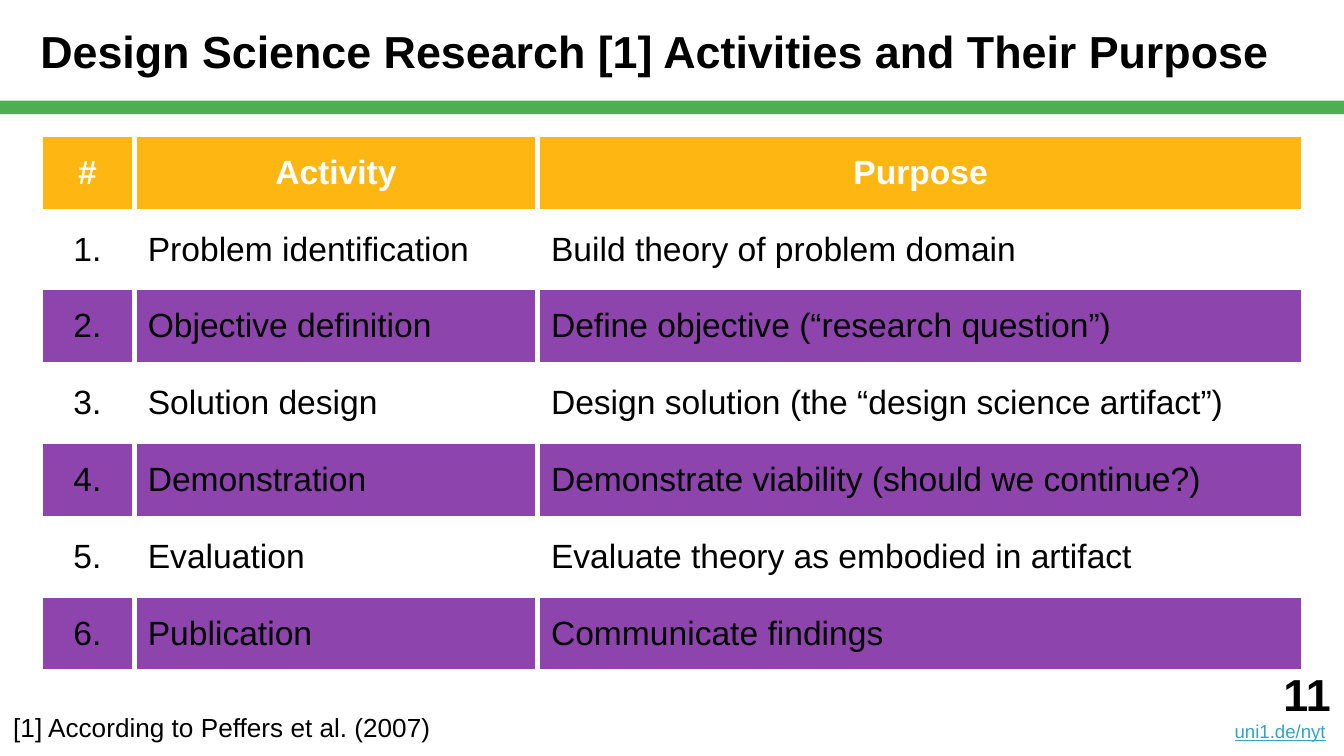
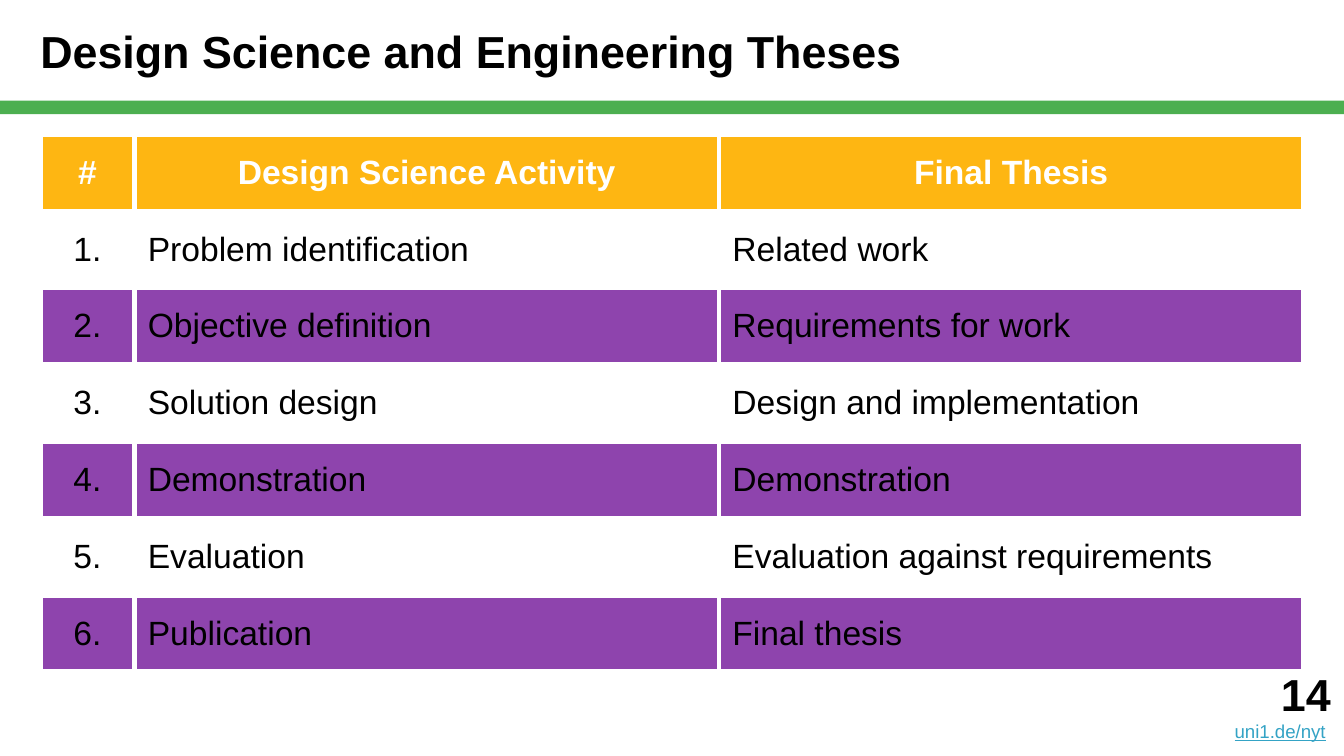
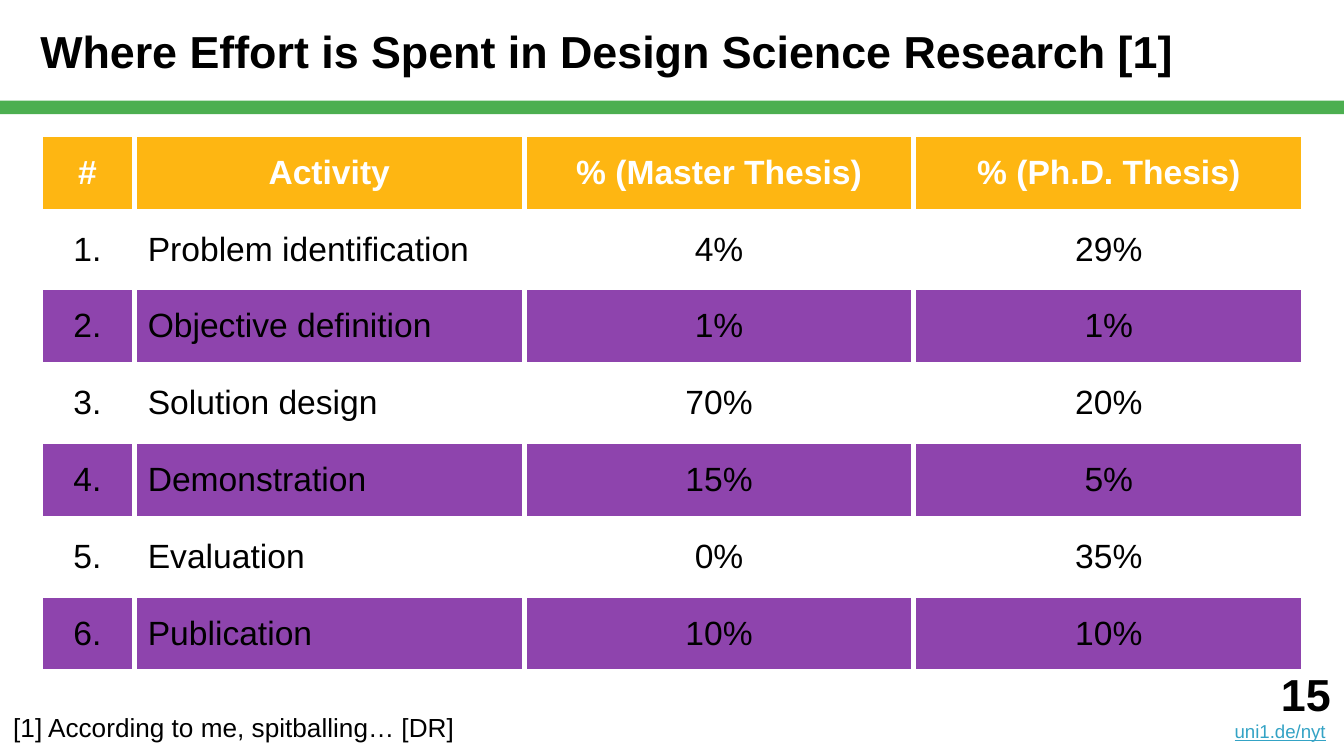
from dataclasses import dataclass

from lxml import etree
from pptx import Presentation
from pptx.dml.color import RGBColor
from pptx.enum.shapes import MSO_SHAPE
from pptx.enum.text import MSO_ANCHOR, PP_ALIGN
from pptx.oxml.ns import qn
from pptx.util import Inches, Pt

RECTANGLE = MSO_SHAPE.RECTANGLE
LEFT, CENTER, RIGHT = PP_ALIGN.LEFT, PP_ALIGN.CENTER, PP_ALIGN.RIGHT
MIDDLE, BOTTOM = MSO_ANCHOR.MIDDLE, MSO_ANCHOR.BOTTOM

BLACK = RGBColor(0x00, 0x00, 0x00)
WHITE = RGBColor(0xFF, 0xFF, 0xFF)
GREEN = RGBColor(0x4C, 0xAF, 0x50)
AMBER = RGBColor(0xFE, 0xB6, 0x12)
PURPLE = RGBColor(0x8E, 0x44, 0xAD)
LINK_BLUE = RGBColor(0x34, 0xA3, 0xC5)

FONT = "Arial"
SLIDE_W = Inches(10)
SLIDE_H = SLIDE_W * 9 // 16
TITLE_H = Inches(0.75)
BAND_H = Inches(0.1)
FOOTER_H = Inches(1)
NUMBER_W = Inches(2)
PAD = Inches(0.1)
MARGIN = Inches(0.3)
TABLE_TOP = Inches(1)
TABLE_W = SLIDE_W - 2 * MARGIN
TABLE_H = Inches(4)
BORDER = Pt(3)
SHORT_LINK = "uni1.de/nyt"

ACTIVITIES = ("Problem identification", "Objective definition", "Solution design",
              "Demonstration", "Evaluation", "Publication")


@dataclass(frozen=True)
class Column:
    heading: str
    width: float
    values: tuple[str, ...]
    align: PP_ALIGN = LEFT


@dataclass(frozen=True)
class TableSlide:
    number: int
    title: str
    columns: tuple[Column, ...]
    footnote: str = ""


NUMBERS = Column("#", 0.7, tuple(f"{n}." for n in range(1, len(ACTIVITIES) + 1)), CENTER)

SLIDES = (
    TableSlide(
        11, "Design Science Research [1] Activities and Their Purpose",
        (NUMBERS,
         Column("Activity", 3, ACTIVITIES),
         Column("Purpose", 5.7, (
             "Build theory of problem domain",
             "Define objective (“research question”)",
             "Design solution (the “design science artifact”)",
             "Demonstrate viability (should we continue?)",
             "Evaluate theory as embodied in artifact",
             "Communicate findings"))),
        "[1] According to Peffers et al. (2007)"),
    TableSlide(
        14, "Design Science and Engineering Theses",
        (NUMBERS,
         Column("Design Science Activity", 4.35, ACTIVITIES),
         Column("Final Thesis", 4.35, (
             "Related work", "Requirements for work", "Design and implementation",
             "Demonstration", "Evaluation against requirements", "Final thesis")))),
    TableSlide(
        15, "Where Effort is Spent in Design Science Research [1]",
        (NUMBERS,
         Column("Activity", 2.9, ACTIVITIES),
         Column("% (Master Thesis)", 2.9, ("4%", "1%", "70%", "15%", "0%", "10%"), CENTER),
         Column("% (Ph.D. Thesis)", 2.9, ("29%", "1%", "20%", "5%", "35%", "10%"), CENTER)),
        "[1] According to me, spitballing… [DR]"),
)


def write(p, text: str, *, size: float, color: RGBColor = BLACK, bold: bool = False,
          underline: bool = False, align: PP_ALIGN = LEFT) -> None:
    """Append a formatted run to paragraph p."""
    p.alignment = align
    r = p.add_run()
    r.text = text
    r.font.name = FONT
    r.font.size = Pt(size)
    r.font.bold = bold
    r.font.underline = underline
    r.font.color.rgb = color


def set_margins(target, left: int = PAD) -> None:
    """Set the inner margins of a text frame or a table cell."""
    target.margin_left = left
    target.margin_right = target.margin_top = target.margin_bottom = PAD


def add_text_frame(s, left: int, top: int, width: int, height: int, anchor: MSO_ANCHOR,
                   inset: int = PAD):
    tf = s.shapes.add_textbox(left, top, width, height).text_frame
    tf.word_wrap = True
    tf.vertical_anchor = anchor
    set_margins(tf, inset)
    return tf


def add_header(s, title: str) -> None:
    band = s.shapes.add_shape(RECTANGLE, 0, TITLE_H, SLIDE_W, BAND_H)
    band.shadow.inherit = False
    band.fill.solid()
    band.fill.fore_color.rgb = GREEN
    band.line.fill.background()
    tf = add_text_frame(s, 0, 0, SLIDE_W, TITLE_H, MIDDLE, MARGIN)
    write(tf.paragraphs[0], title, size=24, bold=True)


def add_footer(s, number: int, footnote: str) -> None:
    top = SLIDE_H - FOOTER_H
    left = SLIDE_W - NUMBER_W
    tf = add_text_frame(s, left, top, NUMBER_W, FOOTER_H, BOTTOM)
    write(tf.paragraphs[0], str(number), size=24, bold=True, align=RIGHT)
    p = tf.add_paragraph()
    write(p, SHORT_LINK, size=10, color=LINK_BLUE, underline=True, align=RIGHT)
    write(p, " ", size=10, align=RIGHT)
    if footnote:
        tf = add_text_frame(s, 0, top, left, FOOTER_H, BOTTOM)
        write(tf.paragraphs[0], footnote, size=14)


def add_borders(cell) -> None:
    """Draw white borders; call before the fill is set, as the schema orders them so."""
    tc_pr = cell._tc.get_or_add_tcPr()
    for side in ("a:lnL", "a:lnR", "a:lnT", "a:lnB"):
        ln = etree.SubElement(tc_pr, qn(side), w=str(BORDER))
        fill = etree.SubElement(ln, qn("a:solidFill"))
        etree.SubElement(fill, qn("a:srgbClr"), val=str(WHITE))


def fill_cell(cell, text: str, fill: RGBColor, color: RGBColor, bold: bool,
              align: PP_ALIGN) -> None:
    set_margins(cell)
    cell.vertical_anchor = MIDDLE
    add_borders(cell)
    cell.fill.solid()
    cell.fill.fore_color.rgb = fill
    write(cell.text_frame.paragraphs[0], text, size=18, color=color, bold=bold, align=align)


def add_activity_table(s, columns: tuple[Column, ...]) -> None:
    rows = len(ACTIVITIES) + 1
    table = s.shapes.add_table(rows, len(columns), MARGIN, TABLE_TOP, TABLE_W, TABLE_H).table
    table.horz_banding = False
    for row in table.rows:
        row.height = TABLE_H // rows
    for c, column in enumerate(columns):
        table.columns[c].width = Inches(column.width)
        fill_cell(table.cell(0, c), column.heading, AMBER, WHITE, True, CENTER)
        for r, value in enumerate(column.values, start=1):
            fill = WHITE if r % 2 else PURPLE
            fill_cell(table.cell(r, c), value, fill, BLACK, False, column.align)


def main() -> None:
    prs = Presentation()
    prs.slide_width, prs.slide_height = SLIDE_W, SLIDE_H
    blank = prs.slide_layouts[6]
    for content in SLIDES:
        s = prs.slides.add_slide(blank)
        add_header(s, content.title)
        add_activity_table(s, content.columns)
        add_footer(s, content.number, content.footnote)
    prs.save("out.pptx")


if __name__ == "__main__":
    main()
